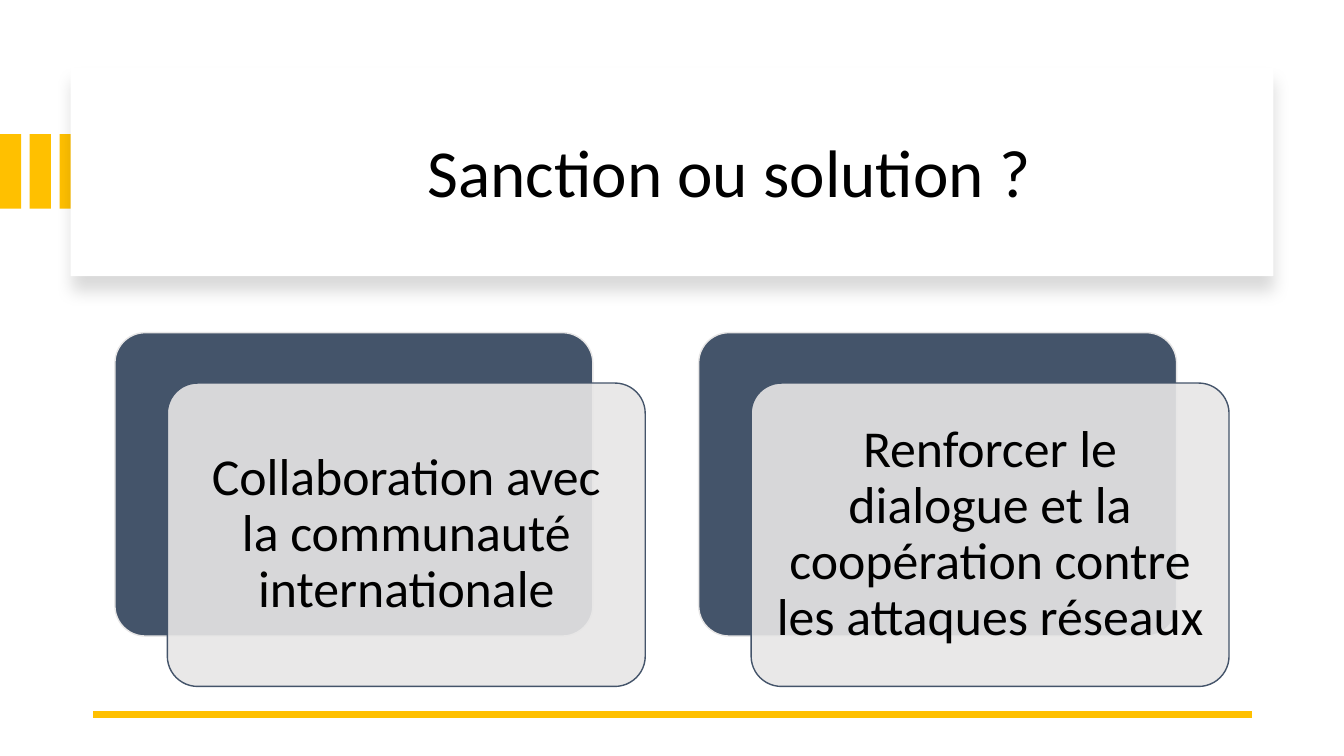
"""Build the slide that asks whether sanctions or solutions are the answer."""
from dataclasses import dataclass

from lxml.etree import SubElement
from pptx import Presentation
from pptx.dml.color import RGBColor
from pptx.enum.shapes import MSO_CONNECTOR, MSO_SHAPE
from pptx.enum.text import MSO_ANCHOR, PP_ALIGN
from pptx.oxml.ns import qn
from pptx.shapes.autoshape import Shape
from pptx.slide import Slide
from pptx.text.text import TextFrame
from pptx.util import Inches, Pt

GOLD, NAVY, GREY, WHITE, BLACK = "FFC000", "44546A", "E7E6E6", "FFFFFF", "000000"
CARD_WIDTH, CARD_HEIGHT = 4.74, 3.01


@dataclass
class Card:
    left: float
    text: str


CARDS = [
    Card(1.14, "Collaboration avec la communauté internationale"),
    Card(6.93, "Renforcer le dialogue et la coopération contre les attaques réseaux"),
]


def rgb(color: str) -> RGBColor:
    return RGBColor.from_string(color)


def add_block(s: Slide, kind: MSO_SHAPE, left: float, top: float, width: float,
              height: float, fill: str, line: str | None = None) -> Shape:
    sp = s.shapes.add_shape(kind, Inches(left), Inches(top), Inches(width), Inches(height))
    sp.shadow.inherit = False
    sp.fill.solid()
    sp.fill.fore_color.rgb = rgb(fill)
    if line:
        sp.line.color.rgb = rgb(line)
        sp.line.width = Pt(1)
    else:
        sp.line.fill.background()
    return sp


def write(tf: TextFrame, text: str, size: float, align: PP_ALIGN) -> None:
    tf.word_wrap = True
    tf.vertical_anchor = MSO_ANCHOR.MIDDLE
    p = tf.paragraphs[0]
    p.text = text
    p.alignment = align
    p.line_spacing = 0.9
    p.font.name = "Calibri"
    p.font.size = Pt(size)
    p.font.color.rgb = rgb(BLACK)


def add_alpha(color, percent: int) -> None:
    SubElement(color, qn("a:alpha"), val=str(percent * 1000))


def add_banner(s: Slide) -> None:
    for i in range(3):
        add_block(s, MSO_SHAPE.RECTANGLE, i * 0.295, 1.33, 0.21, 0.74, GOLD)
    sp = add_block(s, MSO_SHAPE.RECTANGLE, 0.7, 0.67, 11.93, 2.07, WHITE)
    effects = sp._element.spPr.find(qn("a:effectLst"))
    shadow = SubElement(effects, qn("a:outerShdw"), blurRad=str(Pt(11)), dist=str(Pt(10)),
                        dir="5400000", algn="t", rotWithShape="0")
    add_alpha(SubElement(shadow, qn("a:srgbClr"), val=BLACK), 15)

    title = s.shapes.add_textbox(Inches(1.14), Inches(0.89), Inches(11.13), Inches(1.7))
    title.text_frame.margin_left = Inches(3.1)
    write(title.text_frame, "Sanction ou solution ?", 48, PP_ALIGN.LEFT)


def add_rule(s: Slide) -> None:
    rule = s.shapes.add_connector(MSO_CONNECTOR.STRAIGHT, Inches(12.42), Inches(7.09),
                                  Inches(0.92), Inches(7.09))
    rule.line.color.rgb = rgb(GOLD)
    rule.line.width = Pt(4.5)
    SubElement(rule._element.spPr, qn("a:effectLst"))


def add_card(s: Slide, card: Card) -> None:
    back = add_block(s, MSO_SHAPE.ROUNDED_RECTANGLE, card.left, 3.3,
                     CARD_WIDTH, CARD_HEIGHT, NAVY, GREY)
    front = add_block(s, MSO_SHAPE.ROUNDED_RECTANGLE, card.left + 0.52, 3.8,
                      CARD_WIDTH, CARD_HEIGHT, GREY, NAVY)
    for sp in (back, front):
        sp.adjustments[0] = 0.1
    add_alpha(front._element.spPr.find(f"{qn('a:solidFill')}/{qn('a:srgbClr')}"), 90)
    tf = front.text_frame
    tf.margin_left = tf.margin_right = Inches(0.15)
    write(tf, card.text, 37, PP_ALIGN.CENTER)


def main() -> None:
    prs = Presentation()
    prs.slide_width, prs.slide_height = Inches(13.33), Inches(7.5)
    s = prs.slides.add_slide(prs.slide_layouts[6])
    add_banner(s)
    add_rule(s)
    for card in CARDS:
        add_card(s, card)
    prs.save("out.pptx")


if __name__ == "__main__":
    main()
